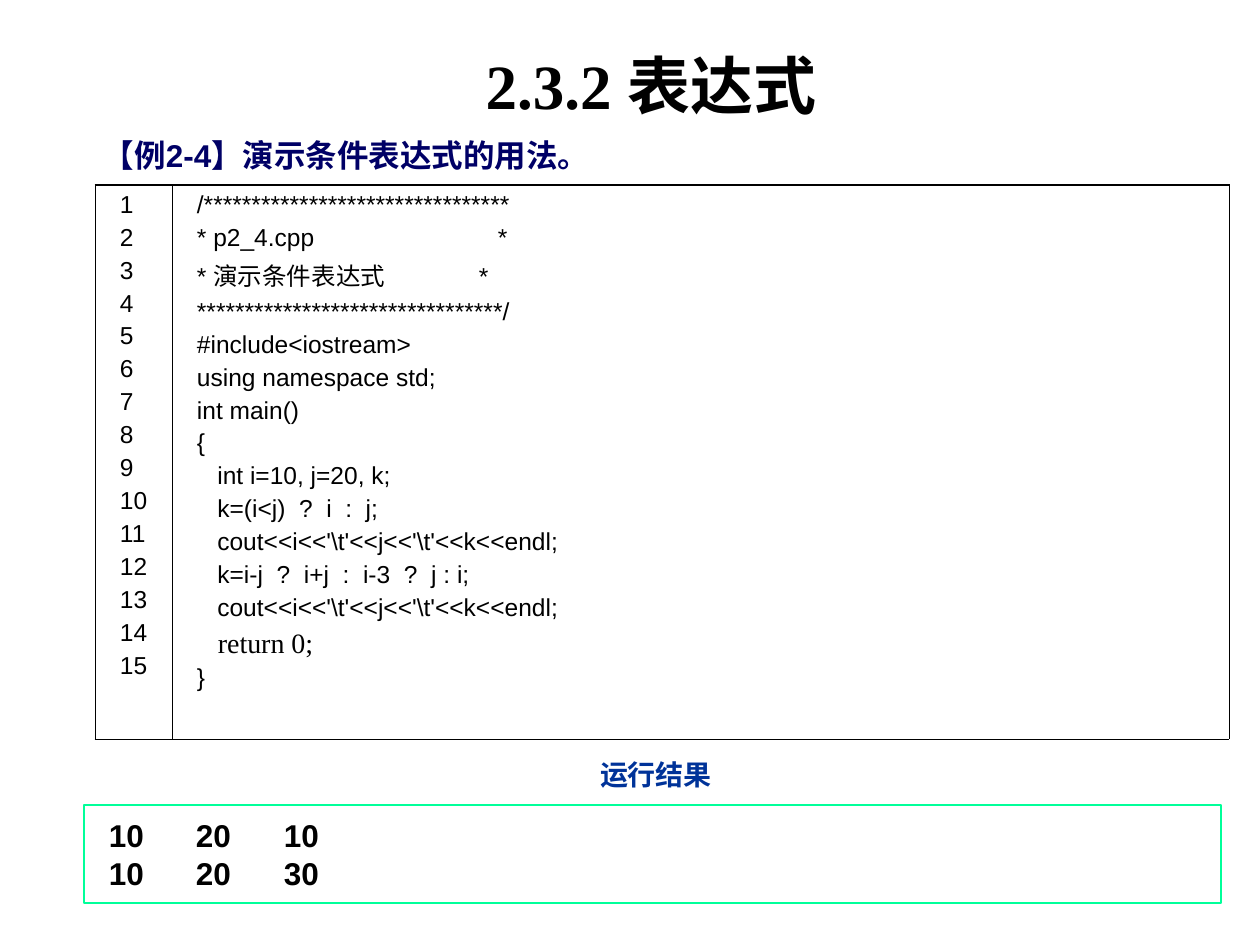
from pptx import Presentation
from pptx.dml.color import RGBColor
from pptx.enum.shapes import MSO_SHAPE as Preset
from pptx.enum.text import MSO_ANCHOR as Anchor, PP_ALIGN as Align
from pptx.oxml.ns import qn
from pptx.oxml.xmlchemy import OxmlElement as new_element
from pptx.util import Emu, Pt

COLORS = {"ink": "000000", "heading": "000066", "result": "003399", "frame": "00FF99"}
CJK_FONT = "Noto Sans CJK SC"
CODE = r"""/********************************
* p2_4.cpp                           *
* 演示条件表达式                 *
********************************/
#include<iostream>
using namespace std;
int main()
{
   int i=10, j=20, k;
   k=(i<j)  ?  i  :  j;
   cout<<i<<'\t'<<j<<'\t'<<k<<endl;
   k=i-j  ?  i+j  :  i-3  ?  j : i;
   cout<<i<<'\t'<<j<<'\t'<<k<<endl;
   return 0;
}""".split("\n")
OUTPUT = [(10, 20, 10), (10, 20, 30)]
CODE_FORMAT = {"size": Pt(14), "name": "Arial"}
RETURN_FORMAT = {"size": Pt(16), "name": "Times New Roman"}
BORDERS = {"a:lnL": 0.34, "a:lnR": 0.34, "a:lnT": 1.08, "a:lnB": 0.45}


def px(count):
    """Turn pixels, 126 to the inch, into EMU."""
    return Emu(round(count * 914400 / 126))


def set_all(target, values):
    """Set every attribute named in values."""
    for name, value in values.items():
        setattr(target, name, value)


def insets(left, top, right, bottom):
    """Return the four margins as format values."""
    return {"margin_left": px(left), "margin_top": px(top),
            "margin_right": px(right), "margin_bottom": px(bottom)}


def add_run(paragraph, text, color, font_format):
    """Add a run with its Latin and East Asian fonts."""
    run = paragraph.add_run()
    run.text = text
    set_all(run.font, font_format)
    run.font.color.rgb = RGBColor.from_string(COLORS[color])
    east_asian = new_element("a:ea")
    east_asian.set("typeface", CJK_FONT)
    run.font._element.find(qn("a:latin")).addnext(east_asian)


def add_title(slide):
    """Place and fill the title placeholder."""
    title = slide.shapes.title
    set_all(title, {"left": px(84), "top": px(26), "width": px(1134), "height": px(116)})
    title.text_frame.vertical_anchor = Anchor.MIDDLE
    paragraph = title.text_frame.paragraphs[0]
    paragraph.alignment = Align.CENTER
    for text, font in (("2.3.2 ", "Times New Roman"), ("表达式", "Arial")):
        add_run(paragraph, text, "ink", {"size": Pt(36), "bold": True, "name": font})


def add_label(slide, box, text, color, font_format, margins, align):
    """Add a one-line text box."""
    frame = slide.shapes.add_textbox(*map(px, box)).text_frame
    set_all(frame, {"word_wrap": True, "vertical_anchor": Anchor.MIDDLE, **margins})
    frame.paragraphs[0].alignment = align
    add_run(frame.paragraphs[0], text, color, font_format)


def add_borders(cell):
    """Draw the four cell borders."""
    properties = cell._tc.get_or_add_tcPr()
    for tag, points in BORDERS.items():
        border = new_element(tag)
        border.set("w", str(Pt(points)))
        fill = new_element("a:solidFill")
        color = new_element("a:srgbClr")
        color.set("val", COLORS["ink"])
        fill.append(color)
        border.append(fill)
        properties.append(border)


def fill_cell(cell, lines):
    """Write one paragraph a line into a bordered cell."""
    add_borders(cell)
    cell.fill.background()
    set_all(cell, insets(25, 6, 23, 6))
    frame = cell.text_frame
    for index, line in enumerate(lines):
        paragraph = frame.add_paragraph() if index else frame.paragraphs[0]
        is_return = line.strip().startswith("return")
        if index:
            paragraph.space_before = Pt(3.5 if is_return else 3.1)
        add_run(paragraph, line, "ink", RETURN_FORMAT if is_return else CODE_FORMAT)


def add_listing(slide):
    """Add the table of line numbers and code."""
    table = slide.shapes.add_table(1, 2, *map(px, (95, 185, 1134, 554))).table
    set_all(table, {"first_row": False, "horz_banding": False})
    numbers = [str(number) for number in range(1, len(CODE) + 1)]
    for index, (width, lines) in enumerate(((77, numbers), (1057, CODE))):
        table.columns[index].width = px(width)
        fill_cell(table.cell(0, index), lines)


def add_tab_stops(paragraph, stops):
    """Give a paragraph left tab stops."""
    tab_list = new_element("a:tabLst")
    for stop in stops:
        tab = new_element("a:tab")
        tab.set("pos", str(px(stop)))
        tab.set("algn", "l")
        tab_list.append(tab)
    paragraph._p.get_or_add_pPr().append(tab_list)


def add_output(slide):
    """Add the framed program output."""
    panel = slide.shapes.add_shape(Preset.RECTANGLE, *map(px, (84, 805, 1137, 98)))
    panel.shadow.inherit = False
    panel.fill.background()
    panel.line.color.rgb = RGBColor.from_string(COLORS["frame"])
    panel.line.width = Pt(1.5)
    frame = panel.text_frame
    set_all(frame, {"word_wrap": True, "vertical_anchor": Anchor.TOP, **insets(25, 11, 23, 11)})
    for index, values in enumerate(OUTPUT):
        paragraph = frame.add_paragraph() if index else frame.paragraphs[0]
        paragraph.alignment = Align.LEFT
        add_tab_stops(paragraph, (87, 175))
        add_run(paragraph, "\t".join(map(str, values)), "ink",
                {"size": Pt(18), "bold": True, "name": "Arial"})


def main():
    """Build and save the slide."""
    deck = Presentation()
    set_all(deck, {"slide_width": px(1260), "slide_height": px(945)})
    slide = deck.slides.add_slide(deck.slide_layouts[5])
    add_title(slide)
    add_label(slide, (25, 125, 1171, 60), "【例2-4】演示条件表达式的用法。", "heading",
              {"size": Pt(18), "bold": True, "name": "Arial"}, insets(78, 11, 23, 11), Align.LEFT)
    add_listing(slide)
    add_label(slide, (89, 750, 1134, 49), "运行结果", "result",
              {"size": Pt(16), "bold": True, "name": CJK_FONT}, insets(13, 6, 13, 6), Align.CENTER)
    add_output(slide)
    deck.save("out.pptx")


if __name__ == "__main__":
    main()
